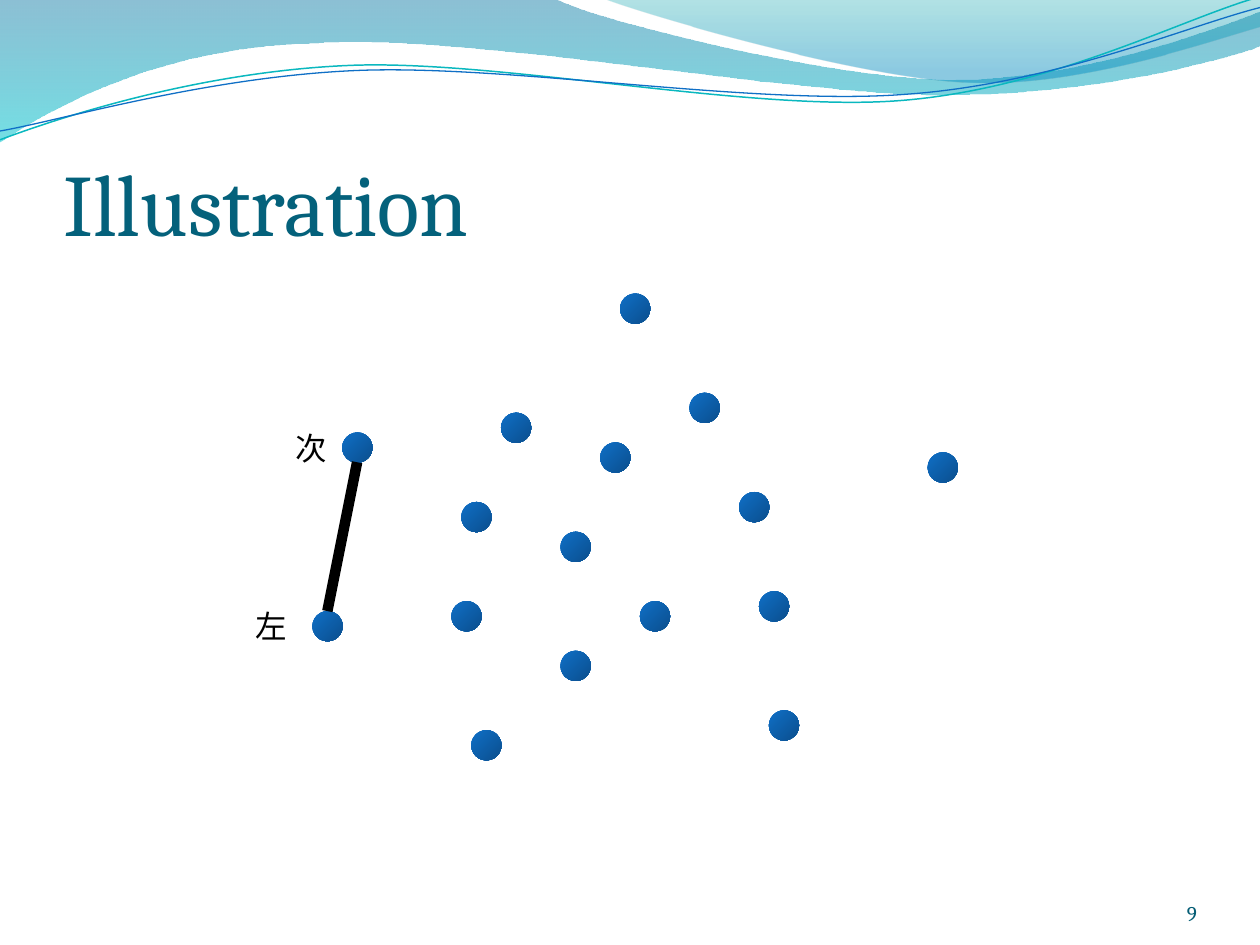
from lxml import etree
from pptx import Presentation
from pptx import util as u
from pptx.dml.color import RGBColor
from pptx.enum import shapes, text
from pptx.oxml.ns import qn

WHITE = RGBColor(0xFF, 0xFF, 0xFF)
BLACK = RGBColor(0x00, 0x00, 0x00)
TITLE_TEAL = RGBColor(0x04, 0x61, 0x7B)
NUMBER_TEAL = RGBColor(0x04, 0x5D, 0x75)
BLUE = RGBColor(0x0F, 0x6F, 0xC6)
DARK_BLUE = RGBColor(0x0B, 0x4F, 0x8E)
CYAN = RGBColor(0x0A, 0xB8, 0xBF)
WAVE_BLUE = RGBColor(0x00, 0x74, 0xA1)
WAVE_CYAN = RGBColor(0x00, 0xC6, 0xCF)
CREST_GREEN = RGBColor(0x00, 0xA1, 0xA9)
CREST_BLUE = RGBColor(0x00, 0x8B, 0xBF)

# Gradient stops: position, colour, opacity in percent
WAVE_FILL = [(0, WAVE_BLUE, 45), (1, WAVE_CYAN, 55)]
CREST_FILL = [(0, CREST_GREEN, 30), (0.8, CREST_BLUE, 45)]
DOT_FILL = [(0, BLUE, 100), (1, DARK_BLUE, 100)]

# Outlines in inches: a start point, then one point per straight line
# or three points (two controls and an end) per curve
WAVE = [
    [(0, 0)], [(4.4, -0.01)],
    [(4.76, 0.17), (6.64, 0.63), (7.58, 0.63)],
    [(8.53, 0.63), (9.58, 0.26), (10, 0.09)], [(10.01, 0.36)],
    [(9.83, 0.44), (8.7, 0.76), (7.46, 0.75)],
    [(6.22, 0.75), (3.82, 0.28), (2.57, 0.34)],
    [(1.29, 0.36), (0.46, 0.83), (-0.01, 1.13)], [(0, 0)],
]
CREST = [
    [(4.79, -0.01)],
    [(5.09, 0.11), (6.82, 0.62), (7.69, 0.65)],
    [(8.56, 0.69), (9.61, 0.32), (10, 0.21)], [(10, 0)], [(4.79, -0.01)],
]
CYAN_STRAND = [
    [(0, 1.11)],
    [(0.48, 0.93), (1.58, 0.57), (2.77, 0.52)],
    [(3.95, 0.47), (5.93, 0.89), (7.13, 0.8)],
    [(8.33, 0.71), (9.38, 0.15), (9.98, -0.02)],
]
BLUE_STRAND = [
    [(0, 1.04)],
    [(0.47, 0.96), (1.64, 0.61), (2.83, 0.56)],
    [(4.03, 0.51), (5.97, 0.84), (7.17, 0.75)],
    [(8.36, 0.67), (9.41, 0.21), (10, 0.06)],
]

# Dots as column and row of the point grid
DOTS = [(3, 14), (31, 0), (29, 15), (0, 32), (16, 44), (15, 21), (46, 42),
        (62, 16), (33, 31), (43, 20), (14, 31), (25, 24), (38, 10), (25, 36),
        (45, 30), (19, 12)]
LABELS = [("左", -7, 31), ("次", -3, 13)]


class SlideBuilder:
    font_name = "Cambria"
    pitch = 3.15 / 40
    grid_left, grid_top = 2.48, 2.33
    dot_size = 0.24
    units_per_inch = 100

    def __init__(self, presentation):
        self.slide = presentation.slides.add_slide(presentation.slide_layouts[5])
        self.slide.background.fill.solid()
        self.slide.background.fill.fore_color.rgb = WHITE

    def grid(self, column, row):
        return (u.Inches(self.grid_left + column * self.pitch),
                u.Inches(self.grid_top + row * self.pitch))

    def set_text(self, shape, words, size, color, align=text.PP_ALIGN.LEFT,
                 **frame_format):
        frame = shape.text_frame
        frame.text = words
        for name, value in frame_format.items():
            setattr(frame, name, value)
        paragraph = frame.paragraphs[0]
        paragraph.alignment = align
        paragraph.font.color.rgb = color
        for name, value in {"name": self.font_name, "size": u.Pt(size)}.items():
            setattr(paragraph.font, name, value)

    def title(self, words):
        shape = self.slide.shapes.title
        place = {"left": 0.5, "top": 0.77, "width": 9, "height": 1.25}
        for name, value in place.items():
            setattr(shape, name, u.Inches(value))
        self.set_text(shape, words, 50, TITLE_TEAL, margin_left=0, margin_right=0,
                      margin_top=u.Inches(0.05), margin_bottom=0, word_wrap=True,
                      auto_size=text.MSO_AUTO_SIZE.NONE,
                      vertical_anchor=text.MSO_ANCHOR.BOTTOM)

    def page_number(self, words):
        shape = self.slide.shapes.add_textbox(
            *map(u.Inches, (8.67, 6.95, 0.83, 0.4)))
        self.set_text(shape, words, 12, NUMBER_TEAL, text.PP_ALIGN.RIGHT,
                      margin_left=0, margin_right=0, margin_top=0, margin_bottom=0,
                      word_wrap=True, vertical_anchor=text.MSO_ANCHOR.BOTTOM)

    def label(self, words, column, row):
        shape = self.slide.shapes.add_textbox(
            *self.grid(column, row), u.Inches(0.45), u.Inches(0.4))
        self.set_text(shape, words, 18, BLACK, word_wrap=False,
                      auto_size=text.MSO_AUTO_SIZE.SHAPE_TO_FIT_TEXT)

    def gradient(self, shape, stops, angle):
        shape.fill.gradient()
        shape.fill.gradient_angle = 360 - angle
        for stop, (position, color, _) in zip(shape.fill.gradient_stops, stops):
            stop.position = position
            stop.color.rgb = color
        colors = list(shape.element.spPr.iter(qn("a:srgbClr")))
        for element, (_, _, opacity) in zip(colors, stops):
            if opacity < 100:
                etree.SubElement(element, qn("a:alpha")).set("val", str(opacity * 1000))

    def outline(self, segments, stops=None, color=None, width=0):
        points = [(round(x * self.units_per_inch), round(y * self.units_per_inch))
                  for segment in segments for x, y in segment]
        builder = self.slide.shapes.build_freeform(
            *points[0], scale=u.Inches(1) / self.units_per_inch)
        builder.add_line_segments(points[1:], close=False)
        shape = builder.convert_to_shape()
        shape.shadow.inherit = False
        # Join each run of three points into one curve
        lines = iter(list(shape.element.spPr.iter(qn("a:lnTo"))))
        for segment in segments[1:]:
            steps = [next(lines) for _ in segment]
            if len(steps) == 3:
                curve = etree.Element(qn("a:cubicBezTo"))
                steps[0].addprevious(curve)
                for step in steps:
                    curve.append(step[0])
                    step.getparent().remove(step)
        if stops:
            self.gradient(shape, stops, 90)
            shape.line.fill.background()
        else:
            shape.fill.background()
            shape.line.color.rgb = color
            shape.line.width = u.Pt(width)

    def dot(self, column, row):
        size = u.Inches(self.dot_size)
        shape = self.slide.shapes.add_shape(
            shapes.MSO_SHAPE.OVAL, *self.grid(column, row), size, size)
        shape.shadow.inherit = False
        self.gradient(shape, DOT_FILL, 45)
        shape.line.fill.background()

    def edge(self, start, end):
        connector = self.slide.shapes.add_connector(
            shapes.MSO_CONNECTOR.STRAIGHT, *self.grid(*start), *self.grid(*end))
        connector.line.color.rgb = BLACK
        connector.line.width = u.Pt(6)
        etree.SubElement(connector._element.spPr, qn("a:effectLst"))


def main():
    presentation = Presentation()
    presentation.slide_width = u.Inches(10)
    presentation.slide_height = u.Inches(7.5)
    builder = SlideBuilder(presentation)

    # Wave banner
    builder.outline(WAVE, WAVE_FILL)
    builder.outline(CREST, CREST_FILL)
    builder.outline(CYAN_STRAND, color=CYAN, width=0.85)
    builder.outline(BLUE_STRAND, color=BLUE, width=0.75)

    # Title and page number
    builder.title("Illustration")
    builder.page_number("9")

    # Point set with its first hull edge
    for column, row in DOTS:
        builder.dot(column, row)
    builder.edge((4.5, 17), (1.5, 32))
    for words, column, row in LABELS:
        builder.label(words, column, row)

    presentation.save("out.pptx")


if __name__ == "__main__":
    main()
